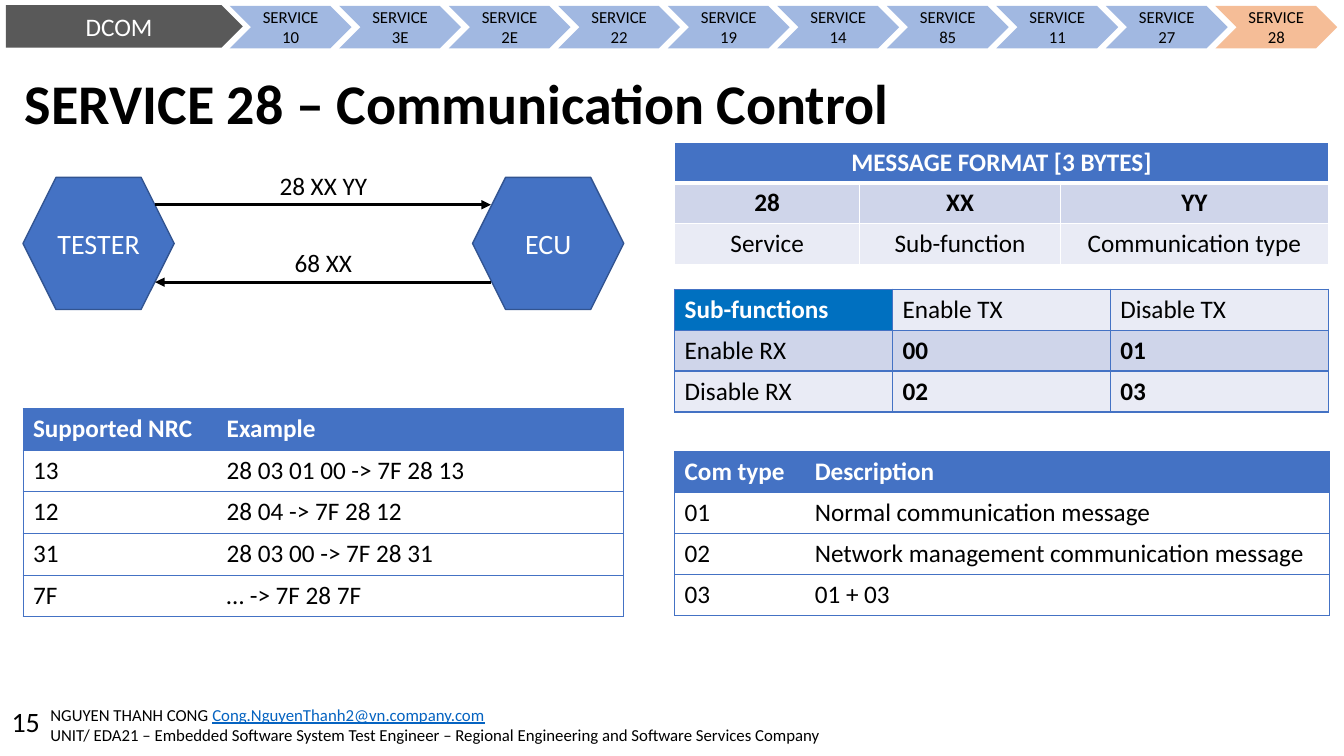
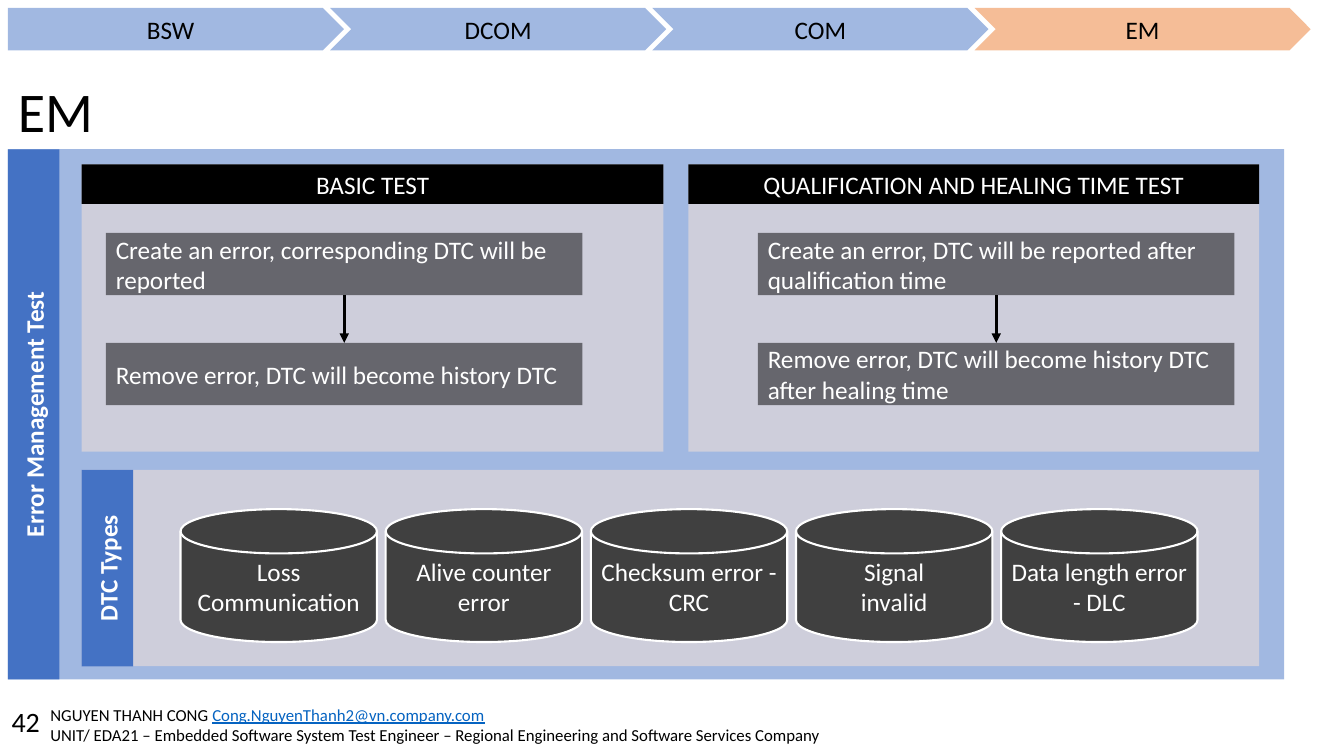
import pptx
import pptx.dml.color
import pptx.enum.shapes
import pptx.enum.text
import pptx.oxml.ns
import pptx.util
from lxml import etree

RGBColor = pptx.dml.color.RGBColor
BLACK = RGBColor(0x00, 0x00, 0x00)
WHITE = RGBColor(0xFF, 0xFF, 0xFF)
BLUE = RGBColor(0x44, 0x72, 0xC4)
DARK_BLUE = RGBColor(0x32, 0x54, 0x91)
AZURE = RGBColor(0x00, 0x70, 0xC0)
LINK_BLUE = RGBColor(0x05, 0x63, 0xC1)
BAND_DARK = RGBColor(0xCF, 0xD5, 0xEA)
BAND_LIGHT = RGBColor(0xE9, 0xEB, 0xF5)
ORANGE = RGBColor(0xED, 0x7D, 0x31)
PEACH = RGBColor(0xFB, 0xE5, 0xD6)
GREY = RGBColor(0x59, 0x59, 0x59)
CHARCOAL = RGBColor(0x40, 0x40, 0x40)

FONT = "Calibri"
SHAPE = pptx.enum.shapes.MSO_SHAPE
STRAIGHT = pptx.enum.shapes.MSO_CONNECTOR.STRAIGHT
LEFT = pptx.enum.text.PP_ALIGN.LEFT
CENTER = pptx.enum.text.PP_ALIGN.CENTER
TOP = pptx.enum.text.MSO_ANCHOR.TOP
MIDDLE = pptx.enum.text.MSO_ANCHOR.MIDDLE
BOTTOM = pptx.enum.text.MSO_ANCHOR.BOTTOM
qn = pptx.oxml.ns.qn


def write(frame, text, size=18, color=BLACK, bold=False, align=CENTER, anchor=TOP):
    frame.text = text
    frame.word_wrap = True
    frame.vertical_anchor = anchor
    for para in frame.paragraphs:
        para.alignment = align
        for span in para.runs:
            span.font.name = FONT
            span.font.size = pptx.util.Pt(size)
            span.font.bold = bold
            span.font.color.rgb = color


def add_block(page, kind, box, fill, text="", half_clear=False, line=None, **style):
    """Add a filled shape; box is left, top, width, height in cm."""
    shape = page.shapes.add_shape(kind, *map(pptx.util.Cm, box))
    shape.shadow.inherit = False
    shape.fill.solid()
    shape.fill.fore_color.rgb = fill
    if half_clear:
        color = shape.element.spPr.find(qn("a:solidFill"))[0]
        etree.SubElement(color, qn("a:alpha"), val="50000")
    if line:
        shape.line.color.rgb, width = line
        shape.line.width = pptx.util.Pt(width)
    else:
        shape.line.fill.background()
    if text:
        write(shape.text_frame, text, anchor=MIDDLE, **style)
    return shape


deck = pptx.Presentation()
deck.slide_width = pptx.util.Cm(33.87)
deck.slide_height = pptx.util.Cm(19.05)
service_page, em_page = [deck.slides.add_slide(deck.slide_layouts[6]) for _ in range(2)]

# Page number, footer and title
for page, number, title, title_box, bold in [
    (service_page, "15", "SERVICE 28 – Communication Control", (0.38, 1.24, 22.71, 2.34), True),
    (em_page, "42", "EM", (0.2, 1.42, 14.27, 2.34), False),
]:
    box = page.shapes.add_textbox(*map(pptx.util.Cm, (0, 17.63, 1.3, 1.02)))
    write(box.text_frame, number, 20)

    box = page.shapes.add_textbox(*map(pptx.util.Cm, (1.02, 17.63, 21.82, 1.02)))
    write(box.text_frame, "NGUYEN THANH CONG \nUNIT/ EDA21 – Embedded Software System Test Engineer – "
          "Regional Engineering and Software Services Company", 12, align=LEFT)
    span = box.text_frame.paragraphs[0].add_run()
    span.text = "Cong.NguyenThanh2@vn.company.com"
    span.font.name = FONT
    span.font.size = pptx.util.Pt(12)
    span.font.underline = True
    span.font.color.rgb = LINK_BLUE

    box = page.shapes.add_textbox(*map(pptx.util.Cm, title_box))
    write(box.text_frame, title, 40, bold=bold, align=LEFT, anchor=BOTTOM)
    box.text_frame.paragraphs[0].line_spacing = 0.9

# Navigation bands, the current step last
add_block(service_page, SHAPE.PENTAGON, (0.15, 0.13, 5.97, 1.07), GREY, "DCOM", color=WHITE)
services = ["SERVICE " + code for code in "10 3E 2E 22 19 14 85 11 27 28".split()]
for page, steps, first_kind, left, top, pitch, width, size in [
    (service_page, services, SHAPE.CHEVRON, 5.79, 0.15, 2.76, 3.07, 12),
    (em_page, ["BSW", "DCOM", "COM", "EM"], SHAPE.PENTAGON, 0.2, 0.2, 8.12, 8.47, 18),
]:
    for index, step in enumerate(steps):
        add_block(page, SHAPE.CHEVRON if index else first_kind,
                  (left + index * pitch, top, width, 1.07),
                  ORANGE if step == steps[-1] else BLUE, step, half_clear=True, size=size)

# Service 28: request and response
arrows = []
for name, left in [("TESTER", 0.58), ("ECU", 11.91)]:
    add_block(service_page, SHAPE.HEXAGON, (left, 4.47, 3.81, 3.33), BLUE, name,
              line=(DARK_BLUE, 1), size=20, color=WHITE).text_frame.word_wrap = False
for message, start, end, height in [("28 XX YY", 3.91, 12.37, 5.16), ("68 XX", 12.37, 3.91, 7.11)]:
    arrows.append(service_page.shapes.add_connector(
        STRAIGHT, *map(pptx.util.Cm, (start, height, end, height))))
    box = service_page.shapes.add_textbox(*map(pptx.util.Cm, (5.25, height - 1, 5.8, 1)))
    write(box.text_frame, message)

# Service 28: tables. A look is fill, text colour, bold
LOOKS = {
    "head": (BLUE, WHITE, True),
    "corner": (AZURE, WHITE, True),
    "dark": (BAND_DARK, BLACK, False),
    "dark bold": (BAND_DARK, BLACK, True),
    "light": (BAND_LIGHT, BLACK, False),
    "light bold": (BAND_LIGHT, BLACK, True),
    "plain": (None, BLACK, False),
}
message_rows = [["MESSAGE FORMAT [3 BYTES]", "", ""], ["28", "XX", "YY"],
                ["Service", "Sub-function", "Communication type"]]
message_looks = [["head"] * 3, ["dark bold"] * 3, ["light"] * 3]
function_rows = [["Sub-functions", "Enable TX", "Disable TX"],
                 ["Enable RX", "00", "01"], ["Disable RX", "02", "03"]]
function_looks = [["corner", "light", "light"], ["dark", "dark bold", "dark bold"],
                  ["light", "light bold", "light bold"]]
type_rows = [["Com type", "Description"], ["01", "Normal communication message"],
             ["02", "Network management communication message"], ["03", "01 + 03"]]
nrc_rows = [["Supported NRC", "Example"], ["13", "28 03 01 00 -> 7F 28 13"],
            ["12", "28 04 -> 7F 28 12"], ["31", "28 03 00 -> 7F 28 31"], ["7F", "… -> 7F 28 7F"]]
list_looks = [["head"] * 2] + [["plain"] * 2] * 4

for left, top, widths, row_height, rows, looks, align, rule, rule_width, inner_rules in [
    (17, 3.58, (4.67, 5.05, 6.76), 1.03, message_rows, message_looks, CENTER, WHITE, 1, True),
    (17, 7.29, (5.49, 5.49, 5.49), 1.03, function_rows, function_looks, LEFT, BLUE, 1, True),
    (17, 11.38, (3.28, 13.23), 1.03, type_rows, list_looks, LEFT, BLUE, 0.5, False),
    (0.58, 10.29, (4.88, 10.26), 1.05, nrc_rows, list_looks, LEFT, BLUE, 0.5, False),
]:
    table = service_page.shapes.add_table(len(rows), len(widths), *map(
        pptx.util.Cm, (left, top, sum(widths), row_height * len(rows)))).table
    for column, width in zip(table.columns, widths):
        column.width = pptx.util.Cm(width)
    if rows is message_rows:
        table.cell(0, 0).merge(table.cell(0, 2))
    for r, texts in enumerate(rows):
        table.rows[r].height = pptx.util.Cm(row_height)
        for c, text in enumerate(texts):
            cell = table.cell(r, c)
            fill, color, bold = LOOKS[looks[r][c]]
            write(cell.text_frame, text, color=color, bold=bold, align=align)
            sides = {"lnL": rule_width if inner_rules or c == 0 else 0,
                     "lnR": rule_width if inner_rules or c == len(widths) - 1 else 0,
                     "lnT": rule_width, "lnB": rule_width}
            if rows is message_rows and r < 2:
                sides["lnT" if r else "lnB"] = 3
            for side, thickness in sides.items():
                border = etree.SubElement(cell._tc.get_or_add_tcPr(), qn("a:" + side),
                                          w=str(int(thickness * 12700)))
                if thickness:
                    paint = etree.SubElement(border, qn("a:solidFill"))
                    etree.SubElement(paint, qn("a:srgbClr"), val=str(rule))
                else:
                    etree.SubElement(border, qn("a:noFill"))
            if fill is None:
                cell.fill.background()
            else:
                cell.fill.solid()
                cell.fill.fore_color.rgb = fill

# Error management: panels with upright labels
for label, panel, panel_fill in [
    ("Error Management Test", (0.2, 3.76, 32.16, 13.36), BLUE),
    ("DTC Types", (2.06, 11.84, 29.67, 4.95), PEACH),
]:
    add_block(em_page, SHAPE.RECTANGLE, panel, panel_fill, half_clear=True)
    left, top, _, height = panel
    shift = (height - 1.3) / 2
    strip = add_block(em_page, SHAPE.RECTANGLE, (left - shift, top + shift, height, 1.3), BLUE,
                      label, color=WHITE, bold=True)
    strip.rotation = 270

# Error management: tests
for name, left, width, step_left, steps in [
    ("BASIC TEST", 2.06, 14.66, 2.67,
     ["Create an error, corresponding DTC will be reported",
      "Remove error, DTC will become history DTC"]),
    ("QUALIFICATION AND HEALING TIME TEST", 17.35, 14.38, 19.1,
     ["Create an error, DTC will be reported after qualification time",
      "Remove error, DTC will become history DTC after healing time"]),
]:
    add_block(em_page, SHAPE.RECTANGLE, (left, 4.14, width, 7.24), PEACH, half_clear=True)
    add_block(em_page, SHAPE.RECTANGLE, (left, 4.14, width, 1), BLACK, name, color=WHITE)
    create, remove = [
        add_block(em_page, SHAPE.RECTANGLE, (step_left, top, 12.01, 1.57), BLACK, step,
                  half_clear=True, color=WHITE, align=LEFT)
        for top, step in zip((5.87, 8.64), steps)]
    arrow = em_page.shapes.add_connector(STRAIGHT, 0, 0, 0, 0)
    arrow.begin_connect(create, 2)
    arrow.end_connect(remove, 0)
    arrows.append(arrow)

# Error management: DTC types
for index, name in enumerate(["Loss Communication", "Alive counter error", "Checksum error - CRC",
                              "Signal\ninvalid", "Data length error - DLC"]):
    add_block(em_page, SHAPE.FLOWCHART_MAGNETIC_DISK,
              (4.55 + index * 5.17, 12.83, 4.95, 3.35), CHARCOAL, name,
              line=(WHITE, 1.5), color=WHITE)

for arrow in arrows:
    arrow.line.color.rgb = BLACK
    arrow.line.width = pptx.util.Pt(2.25)
    etree.SubElement(arrow.line._get_or_add_ln(), qn("a:tailEnd"), type="triangle")
    etree.SubElement(arrow.element.spPr, qn("a:effectLst"))

deck.save("out.pptx")
